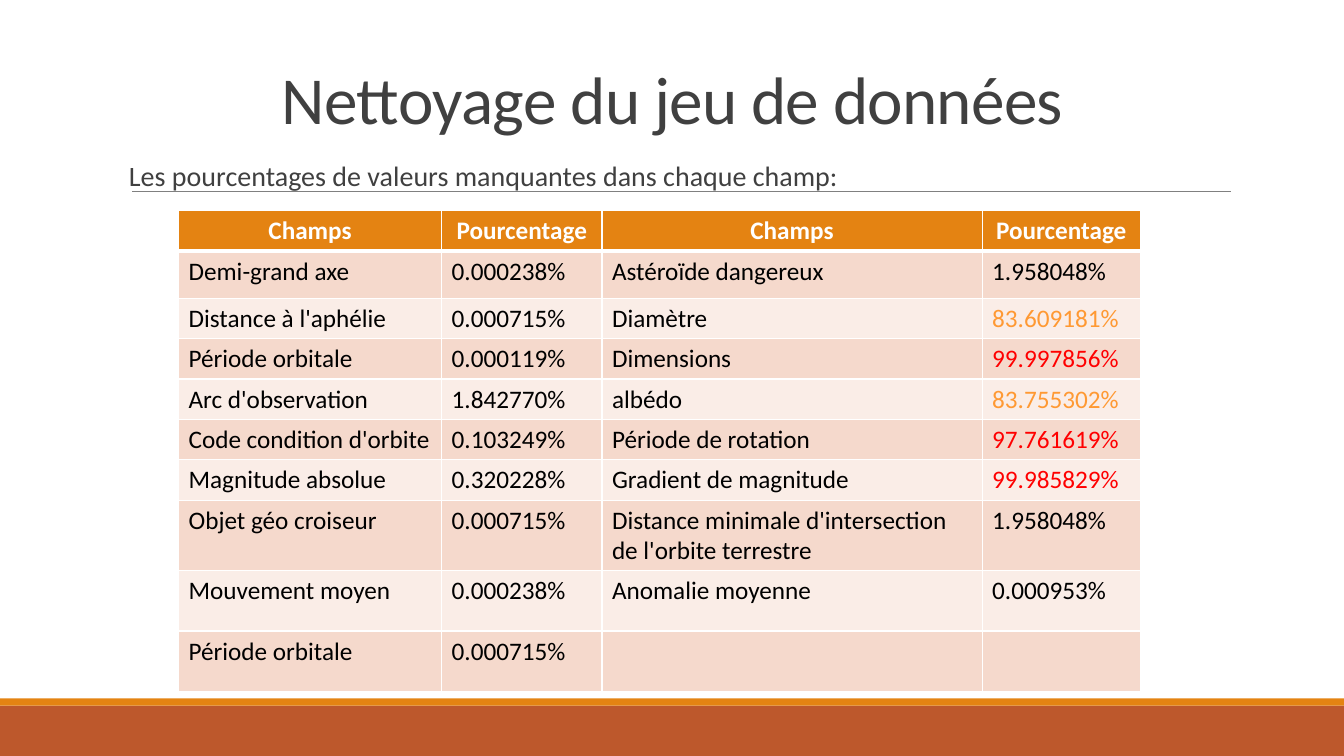
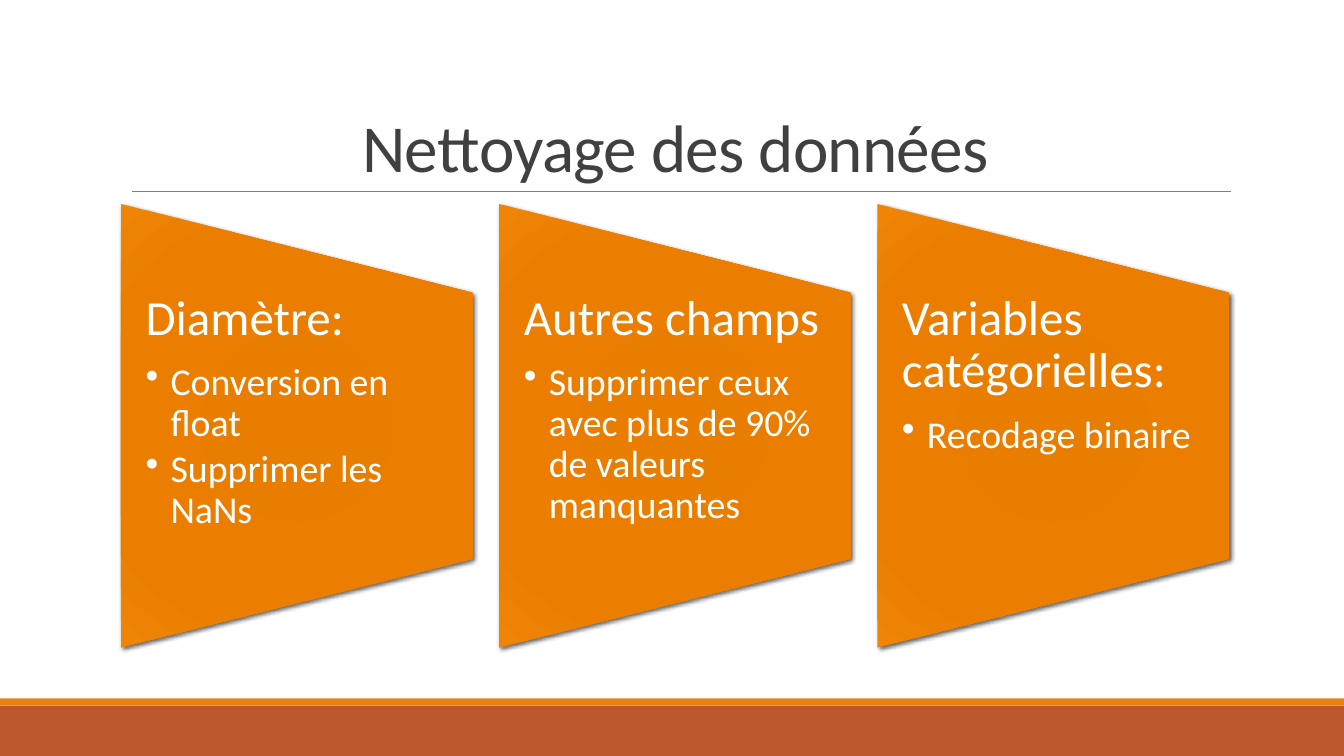
from lxml.etree import SubElement
from pptx import Presentation
from pptx.dml.color import RGBColor
from pptx.enum.shapes import MSO_CONNECTOR, MSO_SHAPE
from pptx.enum.text import MSO_ANCHOR, MSO_AUTO_SIZE, PP_ALIGN
from pptx.oxml import parse_xml
from pptx.oxml.ns import nsdecls, qn
from pptx.util import Cm, Pt

FONT = "Calibri"
ORANGE, RUST, GREY, DARK = "E48312", "BD582C", "808080", "404040"
WHITE, BLACK, RED, AMBER = "FFFFFF", "000000", "FF0000", "FF9933"
ROW_FILLS = ("FAEDE7", "F5D9CC")
PANEL_STOPS = ((0, "E57B00"), (34, "E87D00"), (70, "EB7E00"), (100, "EF8407"))
SLIDE_W, SLIDE_H = 33.87, 19.05

HEADER = ("Champs", "Pourcentage") * 2
MISSING_VALUES = (
    ("Demi-grand axe", "0.000238%", "Astéroïde dangereux", "1.958048%"),
    ("Distance à l'aphélie", "0.000715%", "Diamètre", "83.609181%"),
    ("Période orbitale", "0.000119%", "Dimensions", "99.997856%"),
    ("Arc d'observation", "1.842770%", "albédo", "83.755302%"),
    ("Code condition d'orbite", "0.103249%", "Période de rotation", "97.761619%"),
    ("Magnitude absolue", "0.320228%", "Gradient de magnitude", "99.985829%"),
    ("Objet géo croiseur", "0.000715%",
     "Distance minimale d'intersection de l'orbite terrestre", "1.958048%"),
    ("Mouvement moyen", "0.000238%", "Anomalie moyenne", "0.000953%"),
    ("Période orbitale", "0.000715%", "", ""),
)
COLUMN_WIDTHS = (6.63, 4.04, 9.58, 3.99)
ROW_HEIGHTS = (1.0, 1.19, 1.0, 1.0, 1.0, 1.0, 1.0, 1.73, 1.52, 1.52)
CLEANING_STEPS = (
    ("Diamètre:", ("Conversion en float", "Supprimer les NaNs")),
    ("Autres champs", ("Supprimer ceux avec plus de 90% de valeurs manquantes",)),
    ("Variables catégorielles:", ("Recodage binaire",)),
)


def rgb(value):
    """Turn a hex string into a colour."""
    return RGBColor.from_string(value)


def cm_box(*lengths):
    """Turn centimetres into lengths."""
    return [Cm(length) for length in lengths]


def write(paragraph, text, size, color, bold=False, align=PP_ALIGN.LEFT, spacing=None):
    """Fill a paragraph and format it."""
    paragraph.text = text
    paragraph.alignment = align
    paragraph.line_spacing = spacing
    font = paragraph.font
    font.name, font.size, font.bold = FONT, Pt(size), bold
    font.color.rgb = rgb(color)


def add_text_frame(slide, box, side_margin, end_margin):
    """Add a wrapping text box and return its frame."""
    frame = slide.shapes.add_textbox(*cm_box(*box)).text_frame
    frame.word_wrap = True
    frame.margin_left = frame.margin_right = Cm(side_margin)
    frame.margin_top = frame.margin_bottom = Cm(end_margin)
    return frame


def add_bands(slide):
    """Draw the footer bands and the rule under the title."""
    for top, height, color in ((17.78, 1.27, RUST), (17.6, 0.18, ORANGE)):
        band = slide.shapes.add_shape(
            MSO_SHAPE.RECTANGLE, *cm_box(0, top, SLIDE_W, height))
        band.shadow.inherit = False
        band.fill.solid()
        band.fill.fore_color.rgb = rgb(color)
        band.line.fill.background()
    rule = slide.shapes.add_connector(
        MSO_CONNECTOR.STRAIGHT, *cm_box(3.33, 4.83, 31.01, 4.83))
    rule.line.color.rgb = rgb(GREY)
    rule.line.width = Pt(0.5)
    SubElement(rule._element.spPr, qn("a:effectLst"))


def add_titled_slide(deck, text, box):
    """Add a slide with the shared bands and title style."""
    slide = deck.slides.add_slide(deck.slide_layouts[5])
    add_bands(slide)
    title = slide.shapes.title
    title.left, title.top, title.width, title.height = cm_box(*box)
    frame = title.text_frame
    frame.vertical_anchor = MSO_ANCHOR.BOTTOM
    frame.auto_size = MSO_AUTO_SIZE.NONE
    heading = frame.paragraphs[0]
    write(heading, text, 48, DARK, align=PP_ALIGN.CENTER, spacing=0.85)
    heading._p.pPr.find(qn("a:defRPr")).set("spc", "-50")
    return slide


def add_cell_borders(cell, bottom_width):
    """Draw white borders around a table cell."""
    properties = cell._tc.get_or_add_tcPr()
    for side, width in (("L", 1), ("R", 1), ("T", 1), ("B", bottom_width)):
        border = SubElement(properties, qn(f"a:ln{side}"), w=str(Pt(width)))
        fill = SubElement(border, qn("a:solidFill"))
        SubElement(fill, qn("a:srgbClr"), val=WHITE)


def value_color(text):
    """Choose the text colour from the share of missing values."""
    if not text.endswith("%"):
        return BLACK
    share = float(text.rstrip("%"))
    return RED if share > 90 else AMBER if share > 50 else BLACK


def add_missing_table(slide, left, top):
    """Add the table of missing values."""
    rows = (HEADER, *MISSING_VALUES)
    table = slide.shapes.add_table(
        len(rows), len(HEADER),
        *cm_box(left, top, sum(COLUMN_WIDTHS), sum(ROW_HEIGHTS))).table
    for column, width in zip(table.columns, COLUMN_WIDTHS):
        column.width = Cm(width)
    for number, (row, height, texts) in enumerate(zip(table.rows, ROW_HEIGHTS, rows)):
        row.height = Cm(height)
        is_header = number == 0
        for cell, text in zip(row.cells, texts):
            add_cell_borders(cell, 3 if is_header else 1)
            cell.fill.solid()
            cell.fill.fore_color.rgb = rgb(ORANGE if is_header else ROW_FILLS[number % 2])
            write(cell.text_frame.paragraphs[0], text, 18,
                  WHITE if is_header else value_color(text), bold=is_header,
                  align=PP_ALIGN.CENTER if is_header else PP_ALIGN.LEFT)


def style_panel(panel):
    """Give a panel its radial gradient and shadow."""
    panel.line.fill.background()
    panel.fill.background()
    panel.shadow.inherit = False
    properties = panel._element.spPr
    stops = "".join(
        f'<a:gs pos="{position * 1000}"><a:srgbClr val="{color}"/></a:gs>'
        for position, color in PANEL_STOPS)
    gradient = parse_xml(
        f'<a:gradFill {nsdecls("a")} rotWithShape="1"><a:gsLst>{stops}</a:gsLst>'
        '<a:path path="circle"><a:fillToRect l="100000" t="100000" r="100000" b="100000"/>'
        '</a:path></a:gradFill>')
    properties.replace(properties.find(qn("a:noFill")), gradient)
    shadow = SubElement(
        properties.find(qn("a:effectLst")), qn("a:outerShdw"), blurRad=str(Pt(3)),
        dist=str(Pt(2)), dir="2700000", rotWithShape="0")
    color = SubElement(shadow, qn("a:srgbClr"), val=BLACK)
    SubElement(color, qn("a:alpha"), val="60000")


def add_bullet(paragraph):
    """Give a paragraph a hanging bullet."""
    properties = paragraph._p.get_or_add_pPr()
    properties.set("marL", str(Cm(0.63)))
    properties.set("indent", str(-Cm(0.63)))
    bullet = parse_xml(f'<a:buChar {nsdecls("a")} char="•"/>')
    properties.find(qn("a:defRPr")).addprevious(bullet)


def add_panel(slide, box, heading, points):
    """Add one step panel with its heading and bullets."""
    left, top, width, height = box
    shift = (height - width) / 2
    panel = slide.shapes.add_shape(
        MSO_SHAPE.FLOWCHART_MANUAL_OPERATION,
        *cm_box(left - shift, top + shift, height, width))
    panel.rotation = 270
    style_panel(panel)
    frame = add_text_frame(slide, (left, top + height / 5, width, height * 0.6), 0.62, 0)
    title = frame.paragraphs[0]
    write(title, heading, 35, WHITE, spacing=0.9)
    title.space_after = Pt(12.25)
    for point in points:
        paragraph = frame.add_paragraph()
        write(paragraph, point, 27, WHITE, spacing=0.9)
        paragraph.space_after = Pt(4)
        add_bullet(paragraph)


def build_missing_slide(deck):
    """Build the slide on missing values."""
    slide = add_titled_slide(deck, "Nettoyage du jeu de données", (2.34, 1.02, 29.21, 2.59))
    intro = add_text_frame(slide, (3.25, 3.96, 28.96, 1), 0, 0.13)
    write(intro.paragraphs[0], "Les pourcentages de valeurs manquantes dans chaque champ:",
          20, DARK, spacing=0.9)
    add_missing_table(slide, 4.5, 5.31)


def build_cleaning_slide(deck):
    """Build the slide on cleaning steps."""
    slide = add_titled_slide(deck, "Nettoyage des données", (3.05, 0.79, 27.94, 4.04))
    for index, (heading, points) in enumerate(CLEANING_STEPS):
        add_panel(slide, (3.05 + index * 9.53, 5.14, 8.86, 11.18), heading, points)


def main():
    """Build and save the deck."""
    deck = Presentation()
    deck.slide_width, deck.slide_height = Cm(SLIDE_W), Cm(SLIDE_H)
    build_missing_slide(deck)
    build_cleaning_slide(deck)
    deck.save("out.pptx")


if __name__ == "__main__":
    main()
